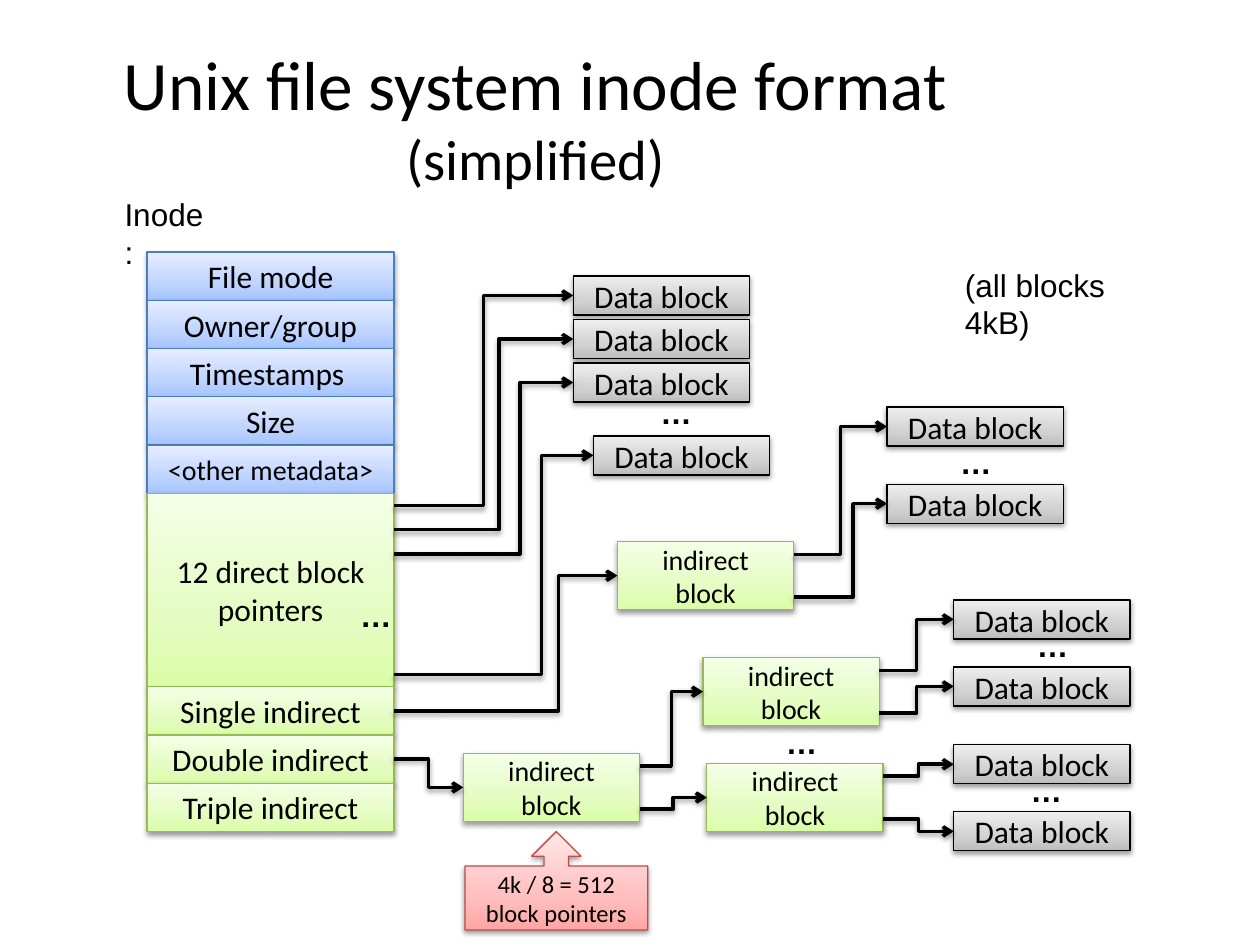
from copy import deepcopy

from lxml import etree
from pptx import Presentation
from pptx.dml.color import RGBColor
from pptx.enum.shapes import MSO_CONNECTOR, MSO_SHAPE
from pptx.enum.text import MSO_ANCHOR, PP_ALIGN
from pptx.oxml.ns import qn
from pptx.util import Pt

ELBOW = MSO_CONNECTOR.ELBOW
RECT = MSO_SHAPE.RECTANGLE
UP_CALLOUT = MSO_SHAPE.UP_ARROW_CALLOUT
MIDDLE, TOP = MSO_ANCHOR.MIDDLE, MSO_ANCHOR.TOP
CENTER, LEFT = PP_ALIGN.CENTER, PP_ALIGN.LEFT

# Line colour, then gradient from bottom to top
BLUE = ("4B7EBC", ("A4C4FF", "BFD4FF", "E6EEFF"))
GREEN = ("98B955", ("DAFDA7", "E4FCC2", "F5FFE7"))
GREY = ("000000", ("BDBDBD", "D1D1D1", "EEEEEE"))
RED = ("BF4C48", ("FFA6A5", "FFC0BF", "FFE7E7"))
STOPS = (0, 0.35, 1)

ROW_W, ROW_H = 141.1, 27.6
BLOCK_W, DATA_H, INDIRECT_H = 100.8, 22.3, 38.7
POINTERS = (7.2, 31.7)  # first and last pointer of an indirect block

prs = Presentation()
prs.slide_width, prs.slide_height = Pt(720), Pt(540)
slide = prs.slides.add_slide(prs.slide_layouts[6])
shapes = slide.shapes


def color(hex_value):
    return RGBColor.from_string(hex_value)


def add_shadow(sp_pr):
    effects = sp_pr.find(qn("a:effectLst"))
    if effects is None:
        effects = etree.SubElement(sp_pr, qn("a:effectLst"))
    outer = etree.SubElement(effects, qn("a:outerShdw"), blurRad=str(Pt(3.1)),
                             dist=str(Pt(1.6)), dir="5400000", rotWithShape="0")
    black = etree.SubElement(outer, qn("a:srgbClr"), val="000000")
    etree.SubElement(black, qn("a:alpha"), val="38000")


def write(frame, runs, font="Calibri", align=CENTER, anchor=MIDDLE, bold=False):
    frame.word_wrap = True
    frame.vertical_anchor = anchor
    paragraph = frame.paragraphs[0]
    paragraph.alignment = align
    for text, size in runs:
        run = paragraph.add_run()
        run.text = text
        run.font.name, run.font.size, run.font.bold = font, Pt(size), bold
        run.font.color.rgb = color("000000")


def textbox(x, y, w, h, runs, **style):
    box = shapes.add_textbox(Pt(x), Pt(y), Pt(w), Pt(h))
    write(box.text_frame, runs, **style)
    return box


def block(x, y, w, h, text, size, theme, kind=RECT):
    shape = shapes.add_shape(kind, Pt(x), Pt(y), Pt(w), Pt(h))
    outline, gradient = theme
    shape.fill.gradient()
    shape.fill.gradient_angle = 90
    stop_list = shape.element.spPr.find(".//" + qn("a:gsLst"))
    stop_list.append(deepcopy(stop_list[-1]))
    for stop, position, shade in zip(shape.fill.gradient_stops, STOPS, gradient):
        stop.position, stop.color.rgb = position, color(shade)
    shape.line.color.rgb, shape.line.width = color(outline), Pt(0.75)
    shape.shadow.inherit = False
    add_shadow(shape.element.spPr)
    write(shape.text_frame, [(text, size)])
    return shape


def ellipsis(x, y):
    box = textbox(x, y, 18, 26.6, [("…", 18)], font="Arial", align=LEFT,
                  anchor=TOP, bold=True)
    box.text_frame.margin_left = box.text_frame.margin_right = 0
    box.text_frame.word_wrap = False


def link(x, y, target, bend=0.5):
    """Elbow arrow from a pointer to the left side of a block."""
    arrow = shapes.add_connector(ELBOW, Pt(x), Pt(y), target.left,
                                 target.top + target.height // 2)
    arrow.line.color.rgb, arrow.line.width = color("000000"), Pt(2)
    sp_pr = arrow.element.spPr
    etree.SubElement(arrow.line._get_or_add_ln(), qn("a:tailEnd"), type="arrow")
    guides = sp_pr.find(".//" + qn("a:avLst"))
    etree.SubElement(guides, qn("a:gd"), name="adj1", fmla=f"val {round(bend * 100000)}")
    add_shadow(sp_pr)


def data_block(x, y):
    return block(x, y, BLOCK_W, DATA_H, "Data block", 18, GREY)


def indirect_block(x, y, children, bends=(0.5, 0.5)):
    """Indirect block with arrows to its first and last child."""
    shape = block(x, y, BLOCK_W, INDIRECT_H, "indirect block", 16, GREEN)
    for pointer, child, bend in zip(POINTERS, children, bends):
        link(x + BLOCK_W, y + pointer, child, bend)
    return shape


def data_pair(x, y, gap, dots_x, dots_y):
    """First and last data block of a run, with dots between."""
    pair = [data_block(x, y), data_block(x, y + gap)]
    ellipsis(x + dots_x, y + dots_y)
    return pair


def inode(x, y, direct, single, double):
    """Inode table at x, y, with arrows to the blocks it points to."""
    rows = [("File mode", 18, BLUE, 1), ("Owner/group", 18, BLUE, 1),
            ("Timestamps ", 18, BLUE, 1), ("Size", 18, BLUE, 1),
            ("<other metadata>", 16, BLUE, 1), ("12 direct block pointers", 18, GREEN, 4),
            ("Single indirect", 18, GREEN, 1), ("Double indirect", 18, GREEN, 1),
            ("Triple indirect", 18, GREEN, 1)]
    row = 0
    for text, size, theme, span in rows:
        block(x, y + row * ROW_H, ROW_W, span * ROW_H, text, size, theme)
        row += span
    ellipsis(x + 121.7, y + 193)
    # Direct pointers sit in half-row slots
    starts = [5.25, 5.75, 6.25, 8.75, 9.5, 10.5]
    bends = [0.5, 0.585, 0.703, 0.74, 0.736, 0.5]
    for start, target, bend in zip(starts, [*direct, single, double], bends):
        link(x + ROW_W, y + start * ROW_H, target, bend)


def direct_blocks(x, y):
    blocks = [data_block(x, y + i * 24.9) for i in range(3)]
    ellipsis(x + 49.7, y + 63.3)
    return blocks + [data_block(x + 11.5, y + 91.4)]


def single_tree(x, y):
    children = data_pair(x + 154.1, y - 77, 44.1, 41.8, 17.3)
    return indirect_block(x, y, children, (0.5, 0.633))


def double_tree(x, y):
    upper = data_pair(x + 280.3, y - 87.8, 38.3, 47.5, 11.5)
    lower = data_pair(x + 280.3, y - 5, 38.3, 43.9, 11.5)
    first = indirect_block(x + 137, y - 54.7, upper)
    last = indirect_block(x + 139.2, y + 5.8, lower)
    ellipsis(x + 184.4, y - 20.9)
    return indirect_block(x, y, [first, last])


# Title and labels
textbox(36, 21.6, 540, 90, [("Unix file system inode format ", 39.6), ("(simplified)", 32.4)])
for x, y, w, label in [(64.1, 108, 61.9, "Inode:"), (544.3, 148.3, 124.6, "(all blocks 4kB)")]:
    textbox(x, y, w, 28.8, [(label, 18)], font="Arial", align=LEFT, anchor=TOP)

# Inode and its block trees
inode(84.1, 144, direct_blocks(327.6, 157.7), single_tree(352.8, 309.6),
      double_tree(264.7, 430.6))

# Callout
block(265.7, 475.2, 104.4, 56.2, "4k / 8 = 512 block pointers", 14, RED, UP_CALLOUT)

prs.save("out.pptx")
